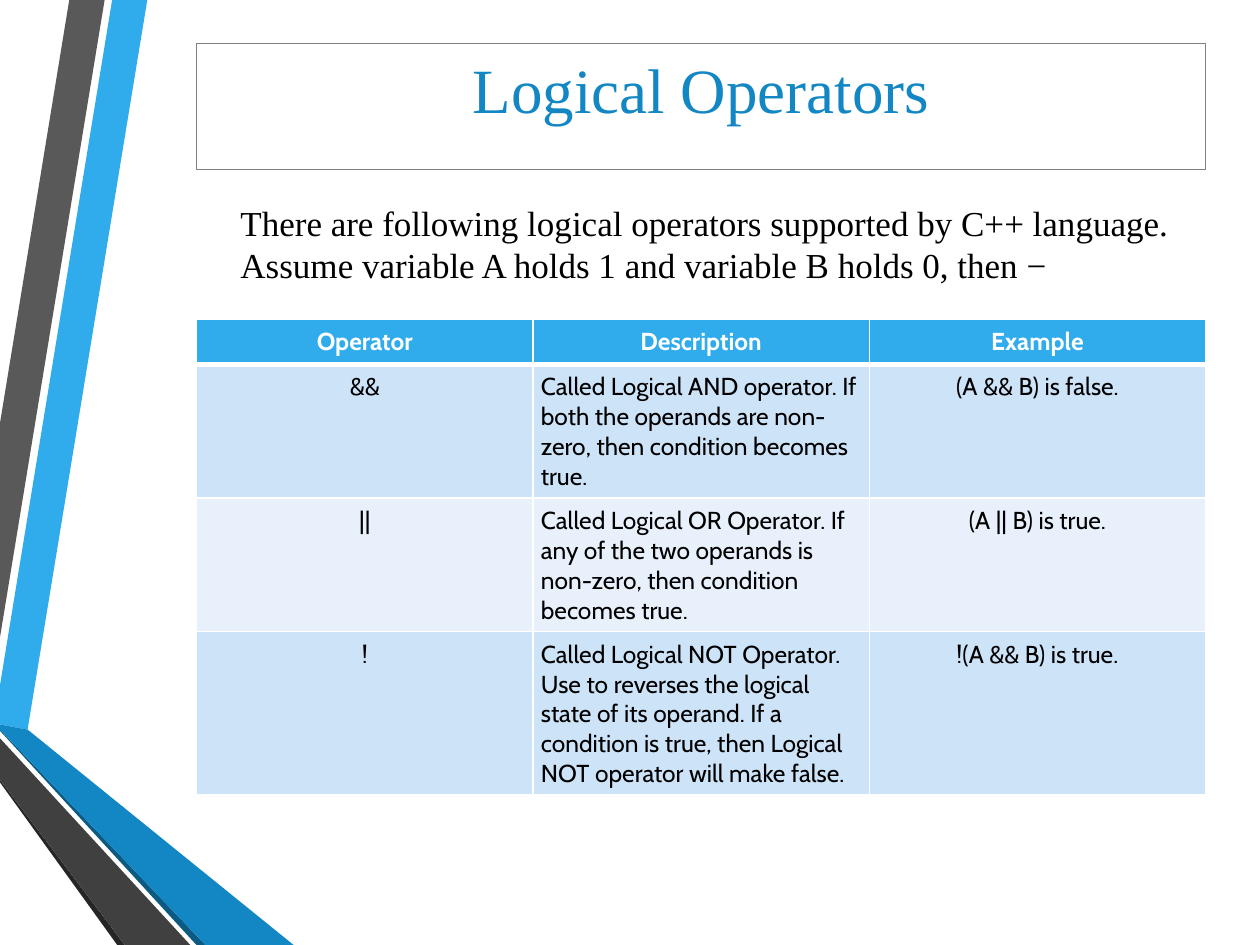
from lxml import etree
from pptx import Presentation
from pptx.dml.color import RGBColor
from pptx.enum.text import MSO_ANCHOR, MSO_AUTO_SIZE, PP_ALIGN
from pptx.oxml.ns import qn
from pptx.util import Pt

CENTER, LEFT, JUSTIFY = PP_ALIGN.CENTER, PP_ALIGN.LEFT, PP_ALIGN.JUSTIFY
TOP = MSO_ANCHOR.TOP
NO_FIT, GROW = MSO_AUTO_SIZE.NONE, MSO_AUTO_SIZE.SHAPE_TO_FIT_TEXT
SERIF, SANS = "Times New Roman", "Cabin"
COLORS = {
    "white": "FFFFFF", "black": "000000", "line": "808080",
    "sky": "30ACEC", "blue": "1287C3", "navy": "0C5A82",
    "gray": "595959", "slate": "404040", "coal": "262626",
    "band": "CDE3F8", "pale": "E8F1FB",
}
# Ribbon outlines in points, from back to front
RIBBONS = [
    ("sky", [(0, 391.7), (0, 414), (15.8, 416.9), (84.2, 0), (64.1, 0)]),
    ("gray", [(59.8, 0), (39.6, 0), (0, 241.9), (0, 364.3)]),
    ("coal", [(0, 445.7), (0, 447.1), (67, 540), (71.3, 540)]),
    ("navy", [(0, 416.9), (0, 417.6), (112.3, 540), (117.4, 540)]),
    ("blue", [(0, 416.9), (117.4, 540), (167.8, 540), (15.8, 416.9), (0, 414)]),
    ("slate", [(0, 445.7), (71.3, 540), (108.7, 540), (0, 421.9)]),
]
INTRO = [
    "There are following logical operators supported by C++ language.",
    "Assume variable A holds 1 and variable B holds 0, then −",
]
ROWS = [
    ("Operator", "Description", "Example"),
    ("&&", "Called Logical AND operator. If both the operands are non-zero, "
     "then condition becomes true.", "(A && B) is false."),
    ("||", "Called Logical OR Operator. If any of the two operands is non-zero, "
     "then condition becomes true.", "(A || B) is true."),
    ("!", "Called Logical NOT Operator. Use to reverses the logical state of its "
     "operand. If a condition is true, then Logical NOT operator will make false.",
     "!(A && B) is true."),
]
HEIGHTS = [25.2, 76.4, 76.4, 90]


def color(name):
    return RGBColor.from_string(COLORS[name])


def paint(shape, name):
    shape.fill.solid()
    shape.fill.fore_color.rgb = color(name)


def style(para, font, size, name, align, bold=False):
    para.alignment = align
    for run in para.runs:
        run.font.name, run.font.size, run.font.bold = font, Pt(size), bold
        run.font.color.rgb = color(name)


def place(shape, box):
    shape.left, shape.top, shape.width, shape.height = map(Pt, box)


def add_ribbons(slide, left, top):
    for name, points in RIBBONS:
        spots = [(Pt(left + x), Pt(top + y)) for x, y in points]
        pen = slide.shapes.build_freeform(*spots[0])
        pen.add_line_segments(spots[1:], close=True)
        shape = pen.convert_to_shape()
        shape.shadow.inherit = False
        paint(shape, name)
        shape.line.fill.background()


def add_title(slide, box):
    title = slide.shapes.title
    place(title, box)
    paint(title, "white")
    title.line.color.rgb = color("line")
    title.line.width = Pt(0.75)
    frame = title.text_frame
    frame.text = "Logical Operators"
    frame.auto_size, frame.vertical_anchor = NO_FIT, TOP
    style(frame.paragraphs[0], SERIF, 36, "blue", CENTER)


def add_intro(slide, box):
    frame = slide.shapes.add_textbox(*map(Pt, box)).text_frame
    frame.word_wrap, frame.auto_size = True, GROW
    frame.text = "\n".join(INTRO)
    for para in frame.paragraphs:
        style(para, SERIF, 20, "black", JUSTIFY)


def add_edges(cell, top, bottom):
    props = cell._tc.get_or_add_tcPr()
    edges = [("a:lnL", 1), ("a:lnR", 1), ("a:lnT", top), ("a:lnB", bottom)]
    for spot, (tag, width) in enumerate(edges):
        edge = etree.Element(qn(tag), w=str(Pt(width)))
        fill = etree.SubElement(edge, qn("a:solidFill"))
        etree.SubElement(fill, qn("a:srgbClr"), val=COLORS["white"])
        props.insert(spot, edge)


def add_grid(slide, left, top, width):
    count = len(ROWS[0])
    table = slide.shapes.add_table(
        len(ROWS), count, Pt(left), Pt(top), Pt(width), Pt(sum(HEIGHTS))).table
    for col in table.columns:
        col.width = Pt(width / count)
    for r, texts in enumerate(ROWS):
        table.rows[r].height = Pt(HEIGHTS[r])
        head = r == 0
        back = "sky" if head else "band" if r % 2 else "pale"
        for c, text in enumerate(texts):
            cell = table.cell(r, c)
            cell.text = text
            cell.margin_left = cell.margin_right = Pt(4.5)
            cell.margin_top = cell.margin_bottom = Pt(4.5)
            paint(cell, back)
            add_edges(cell, 3 if r == 1 else 1, 3 if head else 1)
            align = LEFT if c == 1 and not head else CENTER
            style(cell.text_frame.paragraphs[0], SANS, 14,
                  "white" if head else "black", align, head)


def main():
    deck = Presentation()
    deck.slide_width, deck.slide_height = Pt(720), Pt(540)
    slide = deck.slides.add_slide(deck.slide_layouts[5])
    add_ribbons(slide, 0, 0)
    add_intro(slide, (130.3, 111.6, 566.6, 55.4))
    add_title(slide, (112.4, 25, 576.6, 72))
    add_grid(slide, 112.4, 182.4, 576.6)
    deck.save("out.pptx")


if __name__ == "__main__":
    main()
